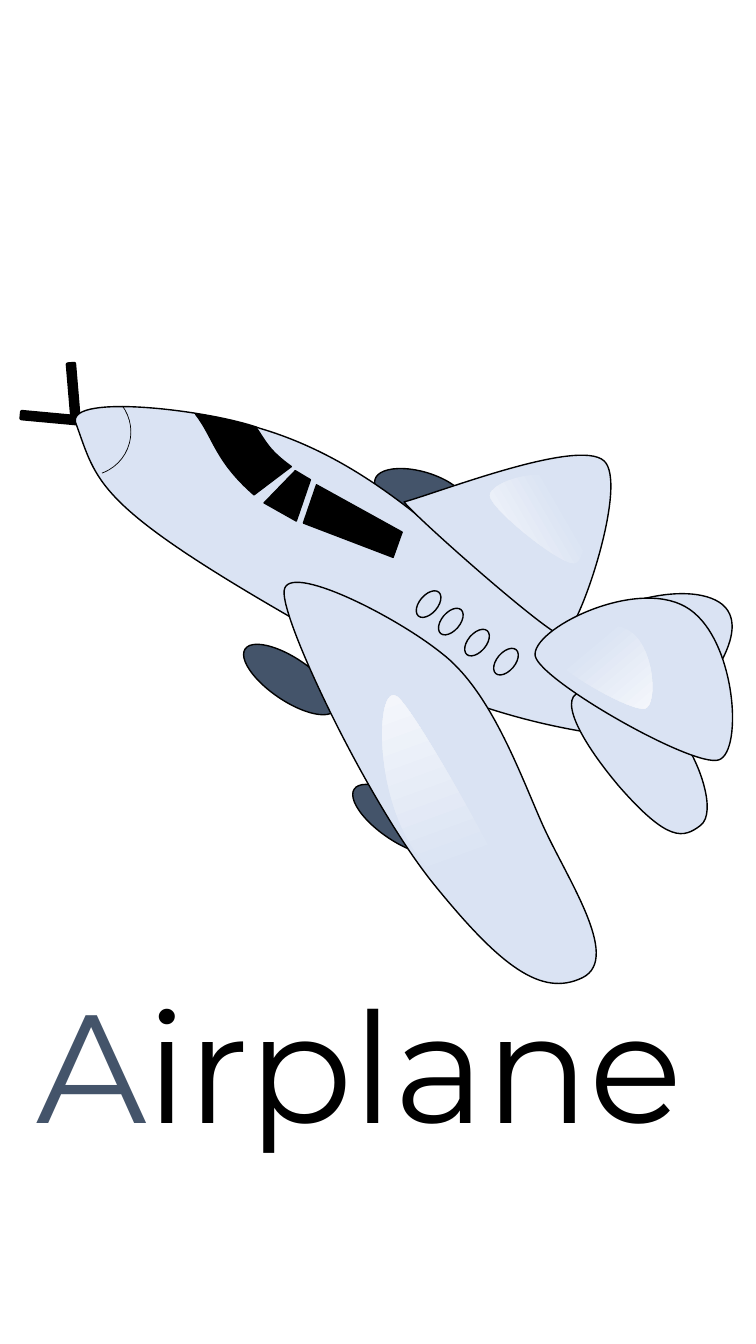
from dataclasses import dataclass

from lxml import etree
from pptx import Presentation
from pptx.dml.color import RGBColor
from pptx.enum.shapes import MSO_SHAPE
from pptx.enum.text import MSO_AUTO_SIZE
from pptx.oxml.ns import qn
from pptx.util import Cm, Pt

ARC, OVAL, ROUNDED = MSO_SHAPE.ARC, MSO_SHAPE.OVAL, MSO_SHAPE.ROUNDED_RECTANGLE
GROW = MSO_AUTO_SIZE.SHAPE_TO_FIT_TEXT
OUTLINE_UNIT = Cm(2.54) / 100


@dataclass(frozen=True)
class Theme:
    ink: RGBColor = RGBColor(0x00, 0x00, 0x00)
    slate: RGBColor = RGBColor(0x44, 0x54, 0x6A)
    skin: RGBColor = RGBColor(0xDA, 0xE3, 0xF3)
    shine: RGBColor = RGBColor(0xF6, 0xF8, 0xFC)
    font: str = "Montserrat"
    word_size: Pt = Pt(110)
    outline: Pt = Pt(1)
    hairline: Pt = Pt(0.5)


THEME = Theme()

FUSELAGE = [(661, 740), (708, 755, 590, 656, 523, 603), (455, 551, 377, 460, 258, 425),
            (209, 407, 68, 390, 75, 419), (97, 479, 92, 500, 300, 619),
            (509, 739, 615, 724, 661, 740)]
FAR_TAIL = [(671, 717), (686, 699, 750, 629, 717, 600), (683, 572, 581, 602, 570, 638),
            (568, 642, 647, 723, 671, 717)]
FIN = [(695, 819), (712, 806, 693, 753, 675, 731), (657, 709, 601, 673, 585, 687),
       (552, 682, 566, 723, 614, 780), (663, 836, 678, 832, 695, 819)]
FAR_WING = [(558, 631), (572, 634, 625, 479, 599, 457), (573, 435, 440, 487, 401, 498),
            (409, 510, 543, 629, 558, 631)]
NEAR_WING = [(578, 970), (618, 950, 559, 867, 536, 813), (513, 760, 485, 684, 438, 648),
             (392, 611, 285, 557, 282, 586), (278, 614, 366, 798, 431, 878),
             (496, 958, 537, 990, 578, 970)]
SIDE_PANE = [(399, 528), (314, 481), (301, 519), (390, 553), (393, 545, 396, 536, 399, 528)]
MIDDLE_PANE = [(294, 517), (262, 499), (293, 467), (308, 476), (294, 517)]
FRONT_PANE = [(289, 463), (267, 447, 264, 439, 254, 424), (242, 422, 231, 416, 194, 411),
              (212, 434, 213, 457, 252, 491), (289, 463)]
NEAR_TAIL = [(680, 602), (629, 573, 526, 625, 531, 651), (537, 676, 688, 762, 713, 754),
             (738, 746, 730, 630, 680, 602)]
TAIL_SHINE = [(623, 625), (597, 610, 544, 637, 547, 650), (550, 663, 627, 707, 640, 703),
              (653, 699, 649, 639, 623, 625)]
WING_SHINE = [(405, 834), (370, 771, 375, 677, 394, 691), (413, 705, 519, 895, 521, 918),
              (523, 942, 440, 896, 405, 834)]
FAR_WING_SHINE = [(565, 479), (588, 498, 583, 557, 570, 559), (556, 561, 487, 505, 486, 492),
                  (485, 478, 542, 460, 565, 479)]


def style(sp, fill=None, width=THEME.outline):
    sp.shadow.inherit = False
    if fill is None:
        sp.fill.background()
    else:
        sp.fill.solid()
        sp.fill.fore_color.rgb = fill
    sp.line.color.rgb = THEME.ink
    sp.line.width = width


def add_preset(shapes, kind, x, y, w, h, rotation, fill):
    sp = shapes.add_shape(kind, Cm(x), Cm(y), Cm(w), Cm(h))
    sp.rotation = rotation
    style(sp, fill)


def bend(sp, segments):
    steps = iter(list(sp._element.iter(qn("a:lnTo"))))
    for segment in segments:
        first, *rest = [next(steps) for _ in range(len(segment) // 2)]
        if rest:
            curve = etree.SubElement(first.getparent(), qn("a:cubicBezTo"))
            first.addprevious(curve)
            for step in (first, *rest):
                curve.append(step[0])
                step.getparent().remove(step)


def add_outline(shapes, outline, fill):
    start, *segments = outline
    points = [pair for seg in segments for pair in zip(seg[::2], seg[1::2])]
    builder = shapes.build_freeform(*start, scale=OUTLINE_UNIT)
    builder.add_line_segments(points, close=True)
    sp = builder.convert_to_shape()
    bend(sp, segments)
    style(sp, fill)
    return sp


def add_shine(shapes, outline, angle):
    sp = add_outline(shapes, outline, THEME.skin)
    sp.line.fill.background()
    sp.fill.gradient()
    sp.fill.gradient_angle = angle
    stops = zip(sp.fill.gradient_stops, (0.32, 1), (THEME.skin, THEME.shine))
    for stop, position, color in stops:
        stop.position = position
        stop.color.rgb = color


def add_nose_line(shapes):
    sp = shapes.add_shape(ARC, Cm(1.09), Cm(9.78), Cm(2.21), Cm(2.21))
    for i, degrees in enumerate((324, 70)):
        sp.adjustments[i] = degrees * 0.6
    style(sp, width=THEME.hairline)


def add_word(shapes, parts):
    tf = shapes.add_textbox(Cm(0.66), Cm(24.31), Cm(19.81), Cm(4.95)).text_frame
    tf.word_wrap = True
    tf.auto_size = GROW
    p = tf.paragraphs[0]
    for text, color in parts:
        r = p.add_run()
        r.text = text
        r.font.name = THEME.font
        r.font.size = THEME.word_size
        r.font.color.rgb = color


def add_airplane(shapes):
    for x, y, rotation in ((0.51, 10.41, 5.3), (1.12, 9.75, 85.2)):
        add_preset(shapes, ROUNDED, x, y, 1.45, 0.23, rotation, THEME.ink)
    add_preset(shapes, OVAL, 9.4, 11.89, 2.41, 1.07, 16.6, THEME.slate)
    for outline in (FUSELAGE, FAR_TAIL, FIN, FAR_WING):
        add_outline(shapes, outline, THEME.skin)
    for x, y in ((5.94, 16.59), (8.69, 20.12)):
        add_preset(shapes, OVAL, x, y, 2.74, 1.07, 34.2, THEME.slate)
    add_outline(shapes, NEAR_WING, THEME.skin)
    for x, y in ((12.52, 16.28), (11.79, 15.8), (11.13, 15.27), (10.57, 14.83)):
        add_preset(shapes, OVAL, x, y, 0.46, 0.79, 40.6, THEME.skin)
    for pane in (SIDE_PANE, MIDDLE_PANE, FRONT_PANE):
        add_outline(shapes, pane, THEME.ink)
    add_nose_line(shapes)
    add_outline(shapes, NEAR_TAIL, THEME.skin)
    for outline, angle in ((TAIL_SHINE, 310), (WING_SHINE, 110), (FAR_WING_SHINE, 210)):
        add_shine(shapes, outline, angle)


def main():
    prs = Presentation()
    prs.slide_width, prs.slide_height = Cm(19.05), Cm(33.87)
    s = prs.slides.add_slide(prs.slide_layouts[6])
    add_airplane(s.shapes.add_group_shape().shapes)
    add_word(s.shapes, (("A", THEME.slate), ("irplane", THEME.ink)))
    prs.save("out.pptx")


if __name__ == "__main__":
    main()
